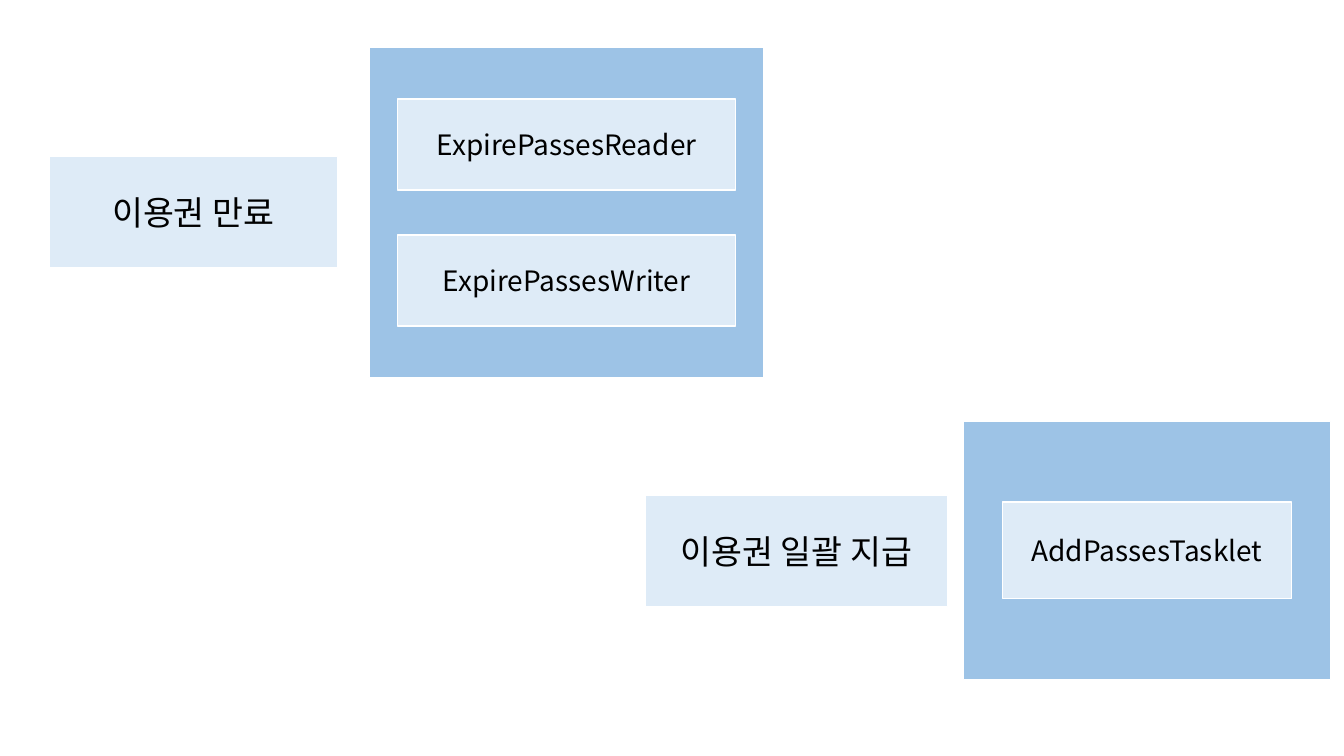
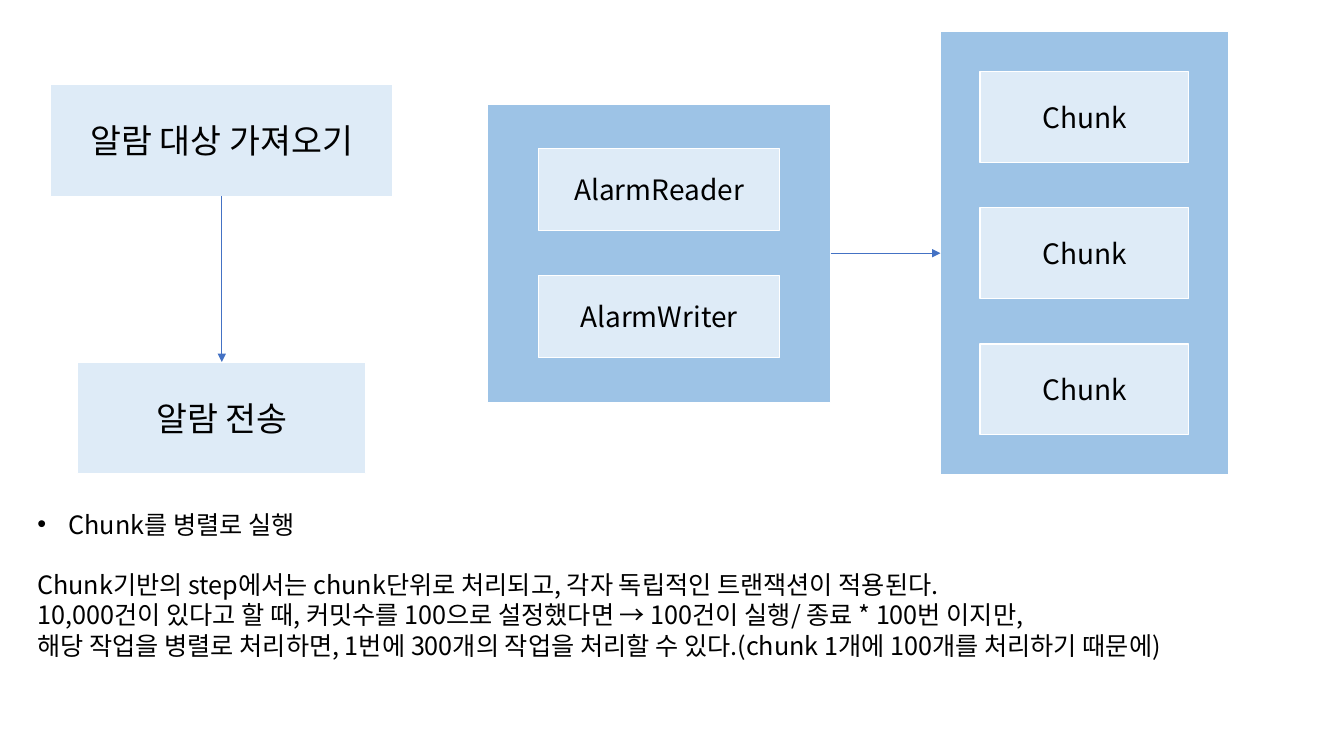
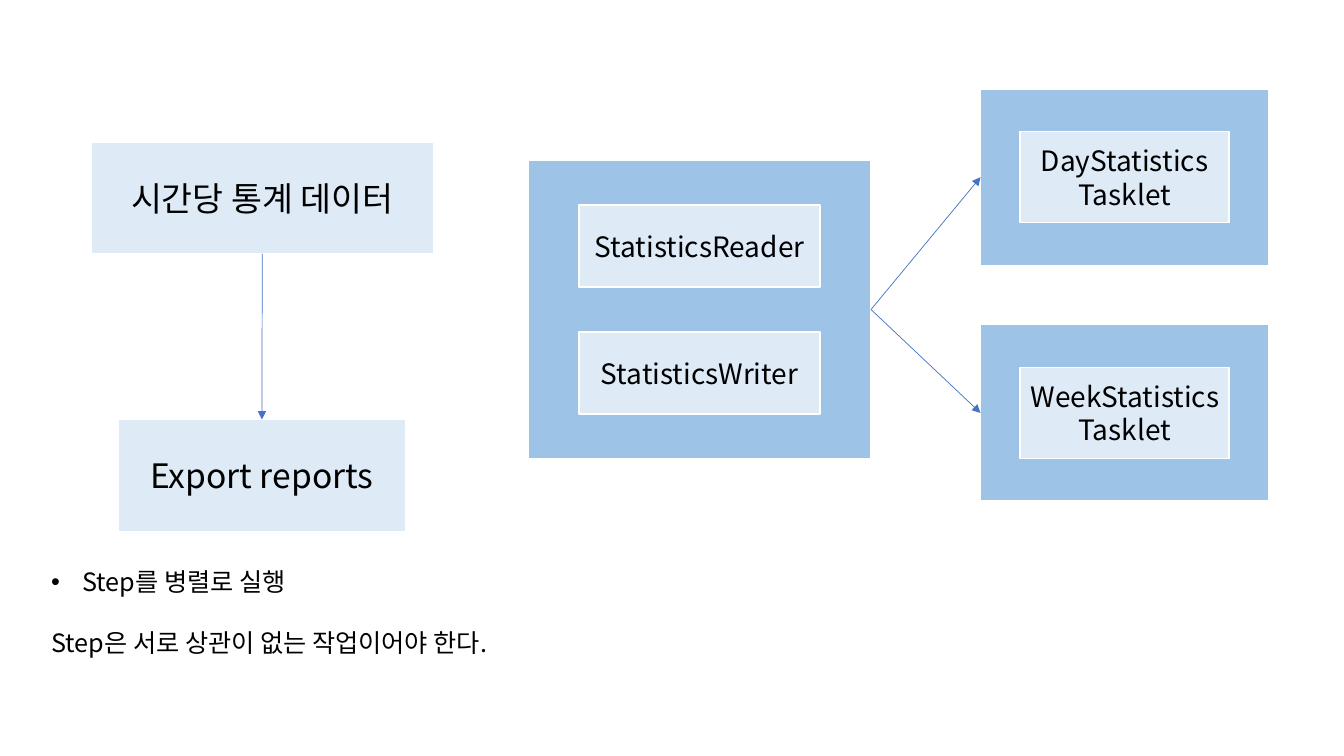
"""Build three slides that show batch jobs as steps, panels of components and arrows."""
from lxml.etree import SubElement
from pptx import Presentation
from pptx.dml.color import RGBColor
from pptx.enum.shapes import MSO_CONNECTOR, MSO_SHAPE
from pptx.enum.text import MSO_ANCHOR, MSO_AUTO_SIZE, PP_ALIGN
from pptx.oxml.ns import qn
from pptx.util import Cm, Pt

FONT = "Noto Sans CJK KR"
BLACK, WHITE = "000000", "FFFFFF"
PANEL_BLUE, CARD_BLUE, ARROW_BLUE = "9DC3E6", "DEEBF7", "4472C4"
STEP_SIZE, CARD_SIZE, NOTE_SIZE = 24, 20, 18
STEP_HEIGHT, CARD_GAP, BULLET_INDENT = 2.82, 1.14, 0.79
NOTE_GAP = 21.6
BOTTOM_TO_TOP, RIGHT_TO_LEFT = (2, 0), (3, 1)

SLIDES = [
    {
        "steps": [
            ("이용권 만료", 1.24, 3.94, 7.26),
            ("이용권 일괄 지급", 16.26, 12.47, 7.62),
        ],
        "panels": [
            ((9.3, 1.19, 9.96, 8.33), (8.51, 2.29), ["ExpirePassesReader", "ExpirePassesWriter"]),
            ((24.28, 10.62, 9.25, 6.5), (7.29, 2.44), ["AddPassesTasklet"]),
        ],
    },
    {
        "steps": [
            ("알람 대상 가져오기", 1.27, 2.13, 8.64),
            ("알람 전송", 1.96, 9.12, 7.26),
        ],
        "panels": [
            ((12.29, 2.62, 8.64, 7.52), (6.07, 2.06), ["AlarmReader", "AlarmWriter"]),
            ((23.7, 0.79, 7.26, 11.18), (5.26, 2.29), ["Chunk"] * 3),
        ],
        "linked": True,
        "note": (
            (0.69, 12.7, 31.78, 4.11),
            "Chunk를 병렬로 실행",
            [
                "Chunk기반의 step에서는 chunk단위로 처리되고, 각자 독립적인 트랜잭션이 적용된다.",
                "10,000건이 있다고 할 때, 커밋수를 100으로 설정했다면 → 100건이 실행/ 종료 * 100번 이지만,",
                "해당 작업을 병렬로 처리하면, 1번에 300개의 작업을 처리할 수 있다.(chunk 1개에 100개를 처리하기 때문에)",
            ],
        ),
    },
    {
        "steps": [
            ("시간당 통계 데이터", 2.29, 3.58, 8.64),
            ("Export reports", 2.97, 10.57, 7.26),
        ],
        "panels": [
            ((13.31, 4.04, 8.64, 7.52), (6.07, 2.06), ["StatisticsReader", "StatisticsWriter"]),
            ((24.71, 2.24, 7.26, 4.45), (5.26, 2.29), ["DayStatistics\nTasklet"]),
            ((24.71, 8.18, 7.26, 4.45), (5.26, 2.29), ["WeekStatisticsTasklet"]),
        ],
        "linked": True,
        "note": (
            (1.04, 14.15, 12.9, 2.57),
            "Step를 병렬로 실행",
            ["Step은 서로 상관이 없는 작업이어야 한다."],
        ),
    },
]


def color(hex_value):
    return RGBColor.from_string(hex_value)


def style_text(frame, size, align):
    for paragraph in frame.paragraphs:
        paragraph.alignment = align
        for run in paragraph.runs:
            run.font.name = FONT
            run.font.size = Pt(size)
            run.font.color.rgb = color(BLACK)
            SubElement(run.font._element, qn("a:ea"), typeface=FONT)


def add_box(shapes, place, fill, text="", size=CARD_SIZE):
    box = shapes.add_shape(MSO_SHAPE.RECTANGLE, *map(Cm, place))
    box.shadow.inherit = False
    box.fill.solid()
    box.fill.fore_color.rgb = color(fill)
    box.line.color.rgb = color(WHITE)
    box.line.width = Pt(1)
    if text:
        box.text_frame.text = text
        box.text_frame.vertical_anchor = MSO_ANCHOR.MIDDLE
        style_text(box.text_frame, size, PP_ALIGN.CENTER)
    return box


def add_panel(slide, place, card_size, labels):
    left, top, width, height = place
    card_width, card_height = card_size
    pitch = card_height + CARD_GAP
    card_left = left + (width - card_width) / 2
    first_top = top + (height - pitch * len(labels) + CARD_GAP) / 2
    group = slide.shapes.add_group_shape()
    panel = add_box(group.shapes, place, PANEL_BLUE)
    for row, label in enumerate(labels):
        card_place = (card_left, first_top + row * pitch, card_width, card_height)
        add_box(group.shapes, card_place, CARD_BLUE, label)
    return panel


def add_arrow(slide, source, target, sites):
    arrow = slide.shapes.add_connector(MSO_CONNECTOR.STRAIGHT, 0, 0, 0, 0)
    arrow.begin_connect(source, sites[0])
    arrow.end_connect(target, sites[1])
    arrow.line.color.rgb = color(ARROW_BLUE)
    arrow.line.width = Pt(0.5)
    properties = arrow._element.spPr
    SubElement(properties.find(qn("a:ln")), qn("a:tailEnd"), type="triangle")
    SubElement(properties, qn("a:effectLst"))


def add_note(slide, place, heading, lines):
    frame = slide.shapes.add_textbox(*map(Cm, place)).text_frame
    frame.word_wrap = False
    frame.auto_size = MSO_AUTO_SIZE.SHAPE_TO_FIT_TEXT
    frame.text = "\n".join([heading, *lines])
    style_text(frame, NOTE_SIZE, PP_ALIGN.LEFT)
    bulleted, first_line = frame.paragraphs[:2]
    first_line.space_before = Pt(NOTE_GAP)
    properties = bulleted._p.get_or_add_pPr()
    properties.set("marL", str(Cm(BULLET_INDENT)))
    properties.set("indent", str(-Cm(BULLET_INDENT)))
    SubElement(properties, qn("a:buFont"), typeface="Arial")
    SubElement(properties, qn("a:buChar"), char="•")


def build_slide(deck, content):
    slide = deck.slides.add_slide(deck.slide_layouts[6])
    panels = [add_panel(slide, *panel) for panel in content["panels"]]
    steps = [
        add_box(slide.shapes, (left, top, width, STEP_HEIGHT), CARD_BLUE, text, STEP_SIZE)
        for text, left, top, width in content["steps"]
    ]
    if content.get("linked"):
        add_arrow(slide, *steps, BOTTOM_TO_TOP)
        for target in panels[1:]:
            add_arrow(slide, panels[0], target, RIGHT_TO_LEFT)
    if "note" in content:
        add_note(slide, *content["note"])


def main():
    deck = Presentation()
    deck.slide_width, deck.slide_height = Cm(33.87), Cm(19.05)
    for content in SLIDES:
        build_slide(deck, content)
    deck.save("out.pptx")


if __name__ == "__main__":
    main()
